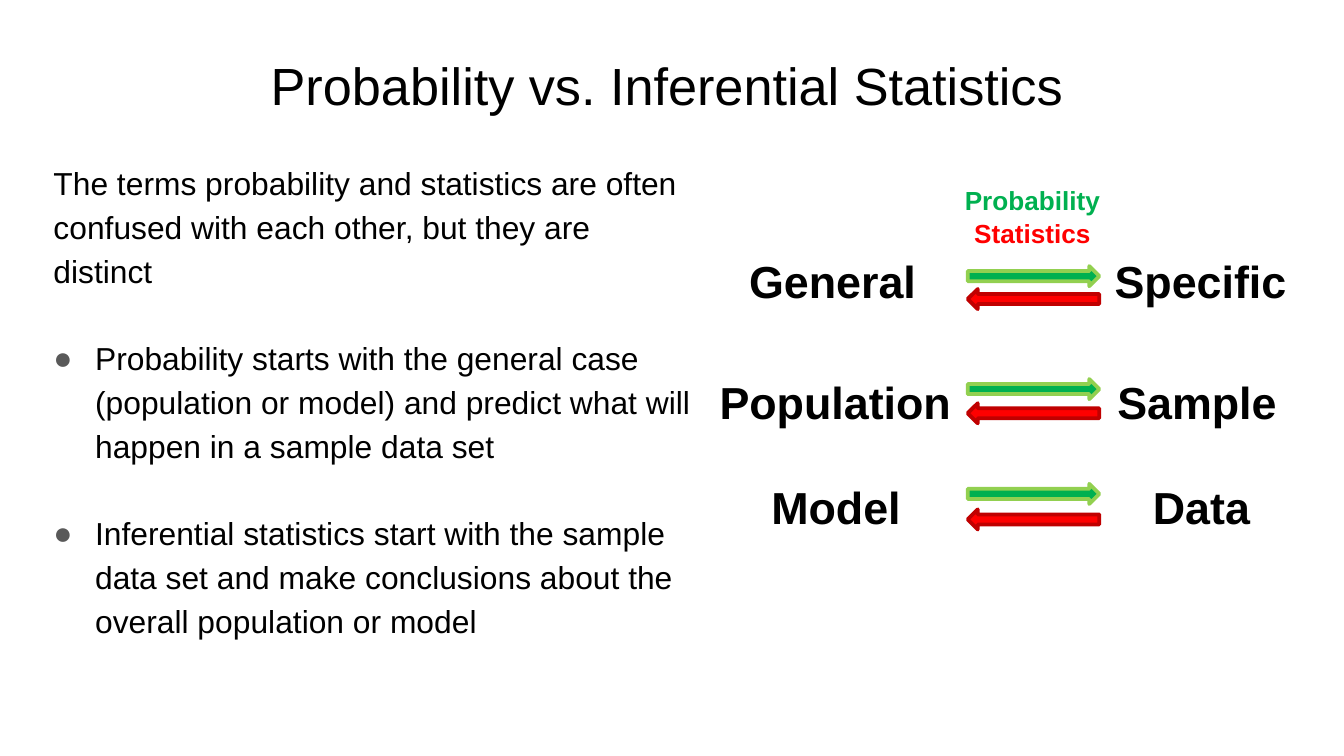
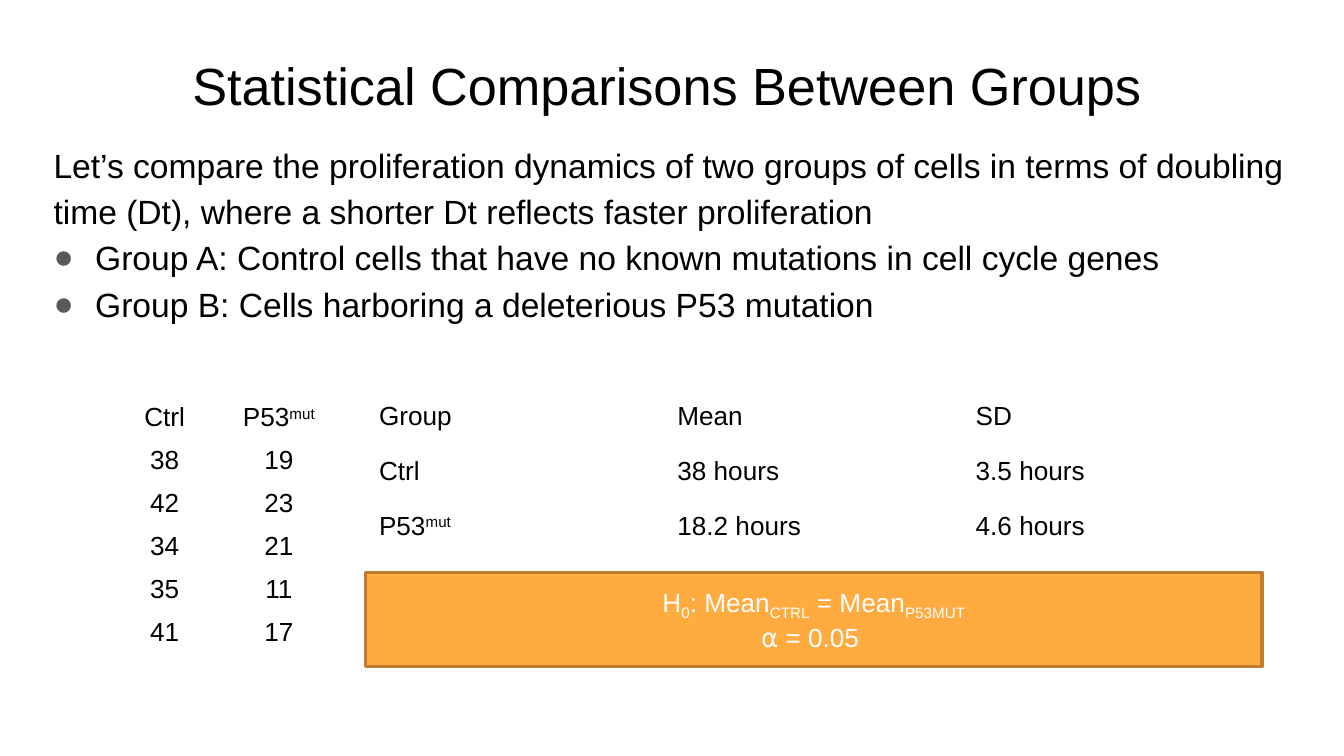
from dataclasses import dataclass

from pptx import Presentation
from pptx.dml.color import RGBColor
from pptx.enum.shapes import MSO_SHAPE
from pptx.enum.text import MSO_ANCHOR, PP_ALIGN
from pptx.oxml.ns import qn
from pptx.oxml.xmlchemy import OxmlElement
from pptx.util import Inches, Pt


@dataclass(frozen=True)
class Theme:
    font: str = "Arial"
    ink: str = "000000"
    paper: str = "FFFFFF"
    bullet: str = "595959"
    green: str = "00B050"
    green_line: str = "92D050"
    red: str = "FF0000"
    red_line: str = "C00000"
    orange: str = "FFAB40"
    orange_line: str = "BD7F2F"
    title_size: float = 28
    term_size: float = 24
    lead_size: float = 18
    body_size: float = 17
    small_size: float = 14
    outline: float = 2
    body_spacing: float = 1.15


THEME = Theme()
SUPERSCRIPT, SUBSCRIPT = 30, -25
MUTANT = [("P53", 0), ("mut", SUPERSCRIPT)]


# Text
def add_spans(para, content, size, color=THEME.ink, bold=False):
    """Write a plain string, or a list of (text, baseline percent) pairs."""
    pieces = [(content, 0)] if isinstance(content, str) else content
    for text, baseline in pieces:
        span = para.add_run()
        span.text = text
        span.font.name = THEME.font
        span.font.size = Pt(size)
        span.font.bold = bold
        span.font.color.rgb = RGBColor.from_string(color)
        if baseline:
            span.font._rPr.set("baseline", str(baseline * 1000))


def add_box(page, left, top, width, height, wrap=True):
    box = page.shapes.add_textbox(
        Inches(left), Inches(top), Inches(width), Inches(height))
    box.text_frame.word_wrap = wrap
    return box


def set_bullet(para):
    properties = para._p.get_or_add_pPr()
    properties.set("marL", str(Inches(0.31)))
    properties.set("indent", str(-Inches(0.31)))
    tint = OxmlElement("a:buClr")
    color = OxmlElement("a:srgbClr")
    color.set("val", THEME.bullet)
    tint.append(color)
    face = OxmlElement("a:buFont")
    face.set("typeface", THEME.font)
    mark = OxmlElement("a:buChar")
    mark.set("char", "●")
    properties.extend([tint, face, mark])


def add_title(page, text):
    frame = add_box(page, 0.3, 0.3, 9.32, 0.47).text_frame
    frame.margin_top = frame.margin_bottom = Inches(0.1)
    para = frame.paragraphs[0]
    para.alignment = PP_ALIGN.CENTER
    add_spans(para, text, THEME.title_size)


def add_body(page, place, lead, bullets, size, gap=0):
    frame = add_box(page, *place).text_frame
    frame.margin_top = frame.margin_bottom = Inches(0.1)
    for index, text in enumerate([lead, *bullets]):
        para = frame.add_paragraph() if index else frame.paragraphs[0]
        para.line_spacing = THEME.body_spacing
        if index:
            para.space_before = Pt(gap)
            set_bullet(para)
        add_spans(para, text, size)


def add_label(page, place, text, size, color=THEME.ink, wrap=True):
    box = add_box(page, *place, wrap=wrap)
    add_spans(box.text_frame.paragraphs[0], text, size, color, bold=True)


# Shapes
def add_filled(page, kind, place, fill, line):
    shape = page.shapes.add_shape(kind, *map(Inches, place))
    shape.shadow.inherit = False
    shape.fill.solid()
    shape.fill.fore_color.rgb = RGBColor.from_string(fill)
    shape.line.color.rgb = RGBColor.from_string(line)
    shape.line.width = Pt(THEME.outline)
    return shape


def add_arrow(page, top, fill, line, leftward=False):
    arrow = add_filled(page, MSO_SHAPE.RIGHT_ARROW,
                       (7.2, top, 0.98, 0.15), fill, line)
    if leftward:
        arrow.element.spPr.find(qn("a:xfrm")).set("flipH", "1")


def add_hypothesis(page, place, lines):
    box = add_filled(page, MSO_SHAPE.RECTANGLE, place,
                     THEME.orange, THEME.orange_line)
    frame = box.text_frame
    frame.word_wrap = True
    frame.vertical_anchor = MSO_ANCHOR.MIDDLE
    for index, line in enumerate(lines):
        para = frame.add_paragraph() if index else frame.paragraphs[0]
        para.alignment = PP_ALIGN.CENTER
        add_spans(para, line, THEME.small_size, THEME.paper)


# Tables
def add_grid(page, left, top, column_width, row_height, rows, align,
             padding=0.05):
    columns = len(rows[0])
    table = page.shapes.add_table(
        len(rows), columns, Inches(left), Inches(top),
        Inches(column_width * columns), Inches(row_height * len(rows))).table
    table.first_row = table.horz_banding = False
    for row_index, row in enumerate(rows):
        for column_index, content in enumerate(row):
            cell = table.cell(row_index, column_index)
            cell.fill.background()
            cell.margin_top = cell.margin_bottom = Inches(padding)
            para = cell.text_frame.paragraphs[0]
            para.alignment = align
            add_spans(para, content, THEME.small_size)


# Slides
def build_probability(page):
    add_title(page, "Probability vs. Inferential Statistics")
    add_body(
        page, (0.3, 1.08, 4.96, 3.54),
        "The terms probability and statistics are often confused with "
        "each other, but they are distinct",
        ["Probability starts with the general case (population or model) "
         "and predict what will happen in a sample data set",
         "Inferential statistics start with the sample data set and make "
         "conclusions about the overall population or model"],
        THEME.body_size, gap=23.4)

    # Term pairs, each column of boxes centred on one axis
    pairs = [
        (1.84, ("General", 1.51), ("Specific", 1.51), 1.98, 2.15),
        (2.74, ("Population", 1.95), ("Sample", 1.47), 2.82, 3.0),
        (3.52, ("Model", 1.18), ("Data", 0.94), 3.6, 3.79),
    ]
    for top, broad, narrow, green_top, red_top in pairs:
        for axis, (term, width) in ((6.23, broad), (8.95, narrow)):
            add_label(page, (axis - width / 2, top, width, 0.5),
                      term, THEME.term_size)
        add_arrow(page, green_top, THEME.green, THEME.green_line)
        add_arrow(page, red_top, THEME.red, THEME.red_line, leftward=True)

    # Arrow key
    add_label(page, (7.08, 1.32, 1.21, 0.34), "Probability",
              THEME.small_size, THEME.green, wrap=False)
    add_label(page, (7.15, 1.57, 1.07, 0.34), "Statistics",
              THEME.small_size, THEME.red, wrap=False)


def build_comparison(page):
    add_title(page, "Statistical Comparisons Between Groups")
    add_body(
        page, (0.3, 0.93, 9.58, 1.55),
        "Let’s compare the proliferation dynamics of two groups of cells in "
        "terms of doubling time (Dt), where a shorter Dt reflects faster "
        "proliferation",
        ["Group A: Control cells that have no known mutations in cell "
         "cycle genes",
         "Group B: Cells harboring a deleterious P53 mutation"],
        THEME.lead_size)

    # Measurements and their summary
    measurements = [("Ctrl", MUTANT), ("38", "19"), ("42", "23"),
                    ("34", "21"), ("35", "11"), ("41", "17")]
    add_grid(page, 0.8, 2.96, 0.85, 0.32, measurements, PP_ALIGN.CENTER,
             padding=0.04)
    summary = [("Group", "Mean", "SD"),
               ("Ctrl", "38 hours", "3.5 hours"),
               (MUTANT, "18.2 hours", "4.6 hours")]
    add_grid(page, 2.72, 2.94, 2.22, 0.41, summary, PP_ALIGN.LEFT)

    add_hypothesis(page, (2.72, 4.26, 6.67, 0.7), [
        [("H", 0), ("0", SUBSCRIPT), (": Mean", 0), ("CTRL", SUBSCRIPT),
         (" = Mean", 0), ("P53MUT", SUBSCRIPT)],
        "⍺ = 0.05 ",
    ])


def main():
    deck = Presentation()
    deck.slide_width = Inches(10)
    deck.slide_height = deck.slide_width * 9 // 16
    for build in (build_probability, build_comparison):
        build(deck.slides.add_slide(deck.slide_layouts[6]))
    deck.save("out.pptx")


if __name__ == "__main__":
    main()
